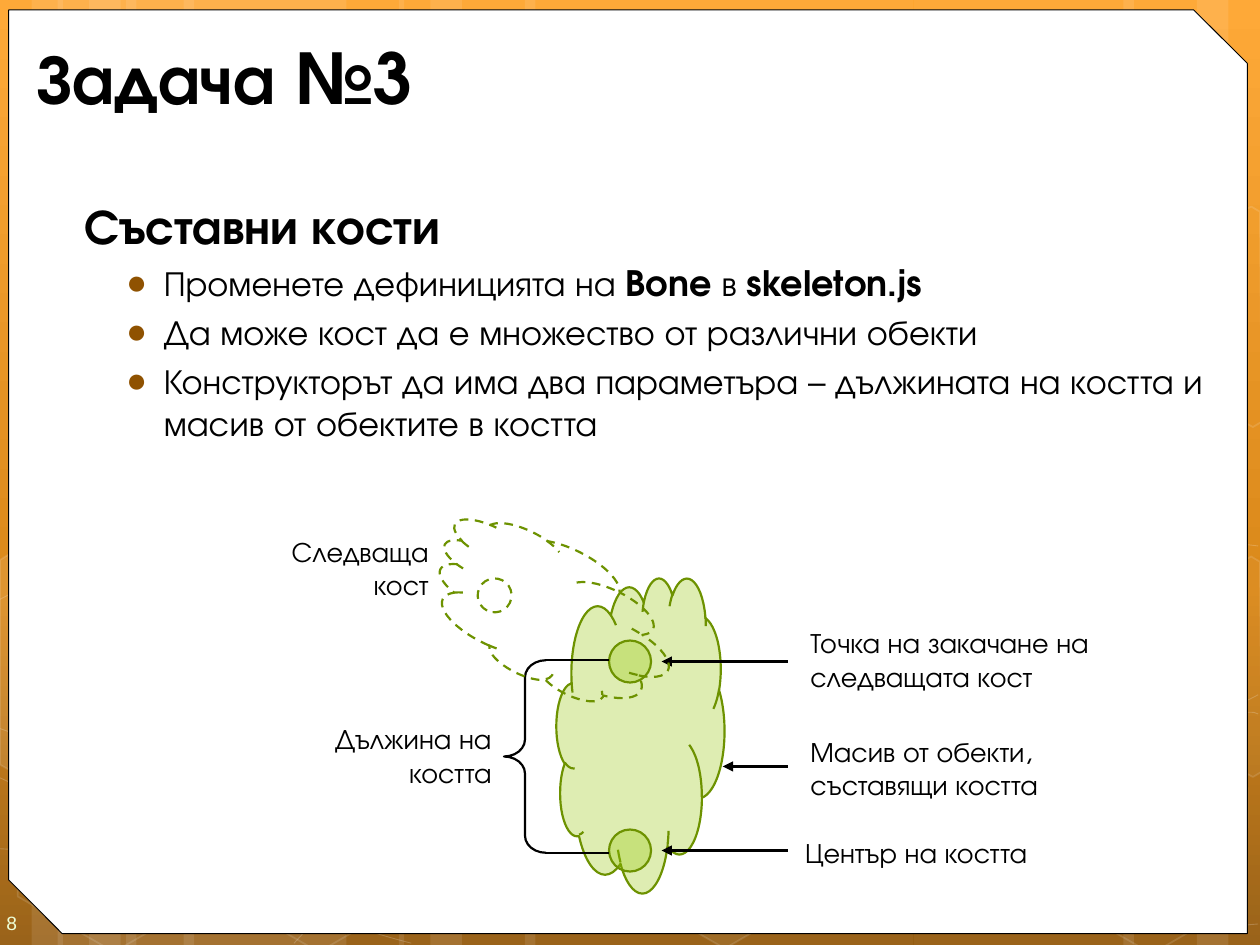
from copy import deepcopy
from pptx import Presentation
from pptx.dml.color import RGBColor
from pptx.enum.dml import MSO_LINE
from pptx.enum.shapes import MSO_CONNECTOR, MSO_SHAPE
from pptx.enum.text import MSO_ANCHOR, MSO_AUTO_SIZE, PP_ALIGN
from pptx.oxml.ns import qn
from pptx.oxml.xmlchemy import OxmlElement
from pptx.util import Pt

FACE = "TeX Gyre Adventor"
WHITE, BLACK, BROWN = "FFFFFF", "000000", "8F5201"
LIME, GREEN = "94C600", "6D9200"


def hue(code):
    return RGBColor.from_string(code)


def apply(item, form):
    for name, value in form.items():
        setattr(item, name, value)


def place(shape, x, y, w, h):
    apply(shape, dict(left=Pt(x), top=Pt(y), width=Pt(w), height=Pt(h)))


def node(parent, tag, **attrs):
    child = OxmlElement(tag)
    for name, value in attrs.items():
        child.set(name, str(value))
    parent.append(child)
    return child


def ink(fill, code, alpha=100):
    fill.solid()
    fill.fore_color.rgb = hue(code)
    if alpha < 100:
        color = fill._xPr.find(qn("a:solidFill"))[0]
        node(color, "a:alpha", val=alpha * 1000)


def style(shape, fill=None, line=None, width=1.25, dash=None):
    """Fill and line are (hex, alpha) pairs, or None for none."""
    shape.shadow.inherit = False
    for part, paint in ((shape.fill, fill), (shape.line.fill, line)):
        if paint:
            ink(part, *paint)
        else:
            part.background()
    if line:
        shape.line.width = Pt(width)
        shape.line.dash_style = dash


def draw(slide, kind, x, y, w, h, turn=0, **look):
    shape = slide.shapes.add_shape(kind, Pt(x), Pt(y), Pt(w), Pt(h))
    shape.rotation = turn
    style(shape, **look)
    return shape


def trace(slide, points, close, **look):
    spots = [(Pt(x), Pt(y)) for x, y in points]
    pen = slide.shapes.build_freeform(*spots[0], scale=1.0)
    pen.add_line_segments(spots[1:], close=close)
    shape = pen.convert_to_shape()
    style(shape, **look)
    return shape


def bend(shape):
    """Turn each run of three line points into one Bezier curve."""
    lines = list(shape._element.iter(qn("a:lnTo")))
    for first in range(0, len(lines), 3):
        curve = OxmlElement("a:cubicBezTo")
        lines[first].addprevious(curve)
        for line in lines[first:first + 3]:
            curve.append(line[0])
            line.getparent().remove(line)


def link(slide, start, end, arrow=False):
    line = slide.shapes.add_connector(
        MSO_CONNECTOR.STRAIGHT, *(Pt(v) for v in start + end))
    line.line.width = Pt(1.25)
    ink(line.line.fill, BLACK)
    if arrow:
        node(line.line._get_or_add_ln(), "a:tailEnd", type="triangle")
    node(line._element.spPr, "a:effectLst")


def write(para, text, size, code=BLACK, bold=False, face=FACE):
    run = para.add_run()
    run.text = text
    apply(run.font, dict(name=face, size=Pt(size), bold=bold))
    run.font.color.rgb = hue(code)


def label(slide, text, x, y, w, h, align=PP_ALIGN.LEFT):
    frame = slide.shapes.add_textbox(Pt(x), Pt(y), Pt(w), Pt(h)).text_frame
    apply(frame, dict(word_wrap=True, auto_size=MSO_AUTO_SIZE.SHAPE_TO_FIT_TEXT))
    for i, row in enumerate(text.split("\n")):
        para = frame.add_paragraph() if i else frame.paragraphs[0]
        para.alignment = align
        write(para, row, 16)


def backdrop(slide, x, y, w, h):
    # Gradient
    fill = slide.background.fill
    fill.gradient()
    fill.gradient_angle = 270
    stops = fill.gradient_stops[0]._gs.getparent()
    stops.insert(1, deepcopy(stops[0]))
    for stop, code, spot in zip(fill.gradient_stops,
                                ("FEA022", "D77C01", BROWN), (0, .62, 1)):
        stop.color.rgb = hue(code)
        stop.position = spot
    # Pale bars
    bars = [(72, 126), (0, 36), (18, 60), (105, 126), (33, 36), (51, 60),
            (522, 126), (684, 36), (642, 60), (300, 222), (228, 36), (246, 60)]
    for left, wide in bars:
        draw(slide, MSO_SHAPE.RECTANGLE, x + left, y, wide, h, fill=(WHITE, 10))
    # Thin waves
    waves = [
        [(-1, 485), (38, 487), (77, 489), (131, 488), (185, 487), (251, 486),
         (324, 479), (396, 472), (498, 458), (564, 444), (630, 431),
         (698, 409), (719, 397)],
        [(-1, 343), (20, 332), (40, 321), (81, 310), (122, 300), (180, 284),
         (244, 279), (308, 274), (386, 273), (465, 279), (544, 284),
         (676, 307), (719, 312)],
        [(-1, 444), (85, 484), (172, 523), (235, 539)],
        [(-1, 416), (22, 424), (44, 432), (86, 444), (128, 454), (191, 472),
         (251, 485), (311, 497), (387, 510), (446, 517), (505, 525),
         (570, 528), (608, 530), (646, 533), (656, 531), (675, 531),
         (693, 531), (706, 529), (719, 528)],
        [(168, 539), (181, 525), (194, 510), (212, 498), (229, 485),
         (253, 470), (273, 460), (293, 450), (305, 446), (332, 438),
         (359, 431), (407, 421), (432, 416), (457, 411), (462, 411),
         (484, 410), (506, 408), (541, 405), (566, 405), (590, 404),
         (632, 405), (632, 405), (648, 405), (664, 405), (680, 405),
         (693, 405), (706, 406), (711, 407), (718, 407), (716, 407),
         (719, 408)],
    ]
    for wave in waves:
        bend(trace(slide, [(x + a, y + b) for a, b in wave], False,
                   line=(WHITE, 20), width=.5))
    # Hexagons along the rim
    for left, top, alpha in ((351, 424, 6), (2, 426, 0), (119, 426, 0),
                             (595, 427, 0)):
        cell = draw(slide, MSO_SHAPE.HEXAGON, x + left, y + top, 126, 109.5, 30,
                    fill=(WHITE, alpha) if alpha else None,
                    line=(WHITE, 12), width=1)
        cell.adjustments[0] = .285
    left = [(0, 320), (8, 315), (63, 347), (63, 410), (9, 442), (0, 437)]
    right = [(661, 349), (715, 318), (720, 321), (721, 441), (716, 444),
             (660, 413)]
    for points, rise, alpha in ((left, 0, 10), (right, 0, 4), (right, 200, 0)):
        trace(slide, [(x + a, y + b - rise) for a, b in points], True,
              fill=(WHITE, alpha) if alpha else None,
              line=(WHITE, 12), width=1)
    # White panel
    panel = draw(slide, MSO_SHAPE.SNIP_2_DIAG_RECTANGLE, x + 5, y + 5.7, w - 12.2,
                 h - 12.2, fill=(WHITE,), line=(BLACK,), width=.5)
    panel.adjustments[0], panel.adjustments[1] = 0, .058


def number(slide, x, y, w, h):
    frame = slide.shapes.add_textbox(Pt(x), Pt(y), Pt(w), Pt(h)).text_frame
    apply(frame, dict(word_wrap=True, vertical_anchor=MSO_ANCHOR.MIDDLE,
                      margin_left=Pt(3.6), margin_top=Pt(10.8),
                      margin_right=0, margin_bottom=Pt(7.2)))
    write(frame.paragraphs[0], "8", 11, "EEFFD6", face="Arial")


def heading(slide, *box):
    title = slide.shapes.title
    place(title, *box)
    frame = title.text_frame
    apply(frame, dict(vertical_anchor=MSO_ANCHOR.MIDDLE, word_wrap=True,
                      auto_size=MSO_AUTO_SIZE.NONE))
    frame.paragraphs[0].alignment = PP_ALIGN.LEFT
    write(frame.paragraphs[0], "Задача №3", 40, bold=True)


def tasks(slide, *box):
    body = slide.placeholders[1]
    place(body, *box)
    frame = body.text_frame
    apply(frame, dict(word_wrap=True, auto_size=MSO_AUTO_SIZE.NONE))
    # Topic
    topic = frame.paragraphs[0]
    props = topic._p.get_or_add_pPr()
    apply(topic, dict(space_before=Pt(0)))
    props.set("marL", str(Pt(5)))
    props.set("indent", "0")
    node(props, "a:buNone")
    write(topic, "Съставни кости", 28, bold=True)
    # Bullets; every second piece is bold
    rows = [("Променете дефиницията на ", "Bone ", "в ", "skeleton.js"),
            ("Да може кост да е множество от различни обекти",),
            ("Конструкторът да има два параметъра – дължината на костта и "
             "масив от обектите в костта",)]
    for row in rows:
        para = frame.add_paragraph()
        props = para._p.get_or_add_pPr()
        props.set("marL", str(Pt(50.4)))
        props.set("indent", str(-Pt(21.6)))
        node(node(props, "a:buClr"), "a:srgbClr", val=BROWN)
        node(props, "a:buChar", char="●")
        apply(para, dict(level=1, space_before=Pt(4)))
        for i, piece in enumerate(row):
            write(para, piece, 20, bold=i % 2 == 1)


def diagram(slide, x, y):
    # Bone and its two joints
    solid = dict(fill=(LIME, 30), line=(GREEN,))
    draw(slide, MSO_SHAPE.CLOUD, x + 176, y + 60, 96, 180, **solid)
    for top in (204, 96):
        draw(slide, MSO_SHAPE.OVAL, x + 206, y + top, 24, 24, **solid)
    # Labels
    right = PP_ALIGN.RIGHT
    for text, left, top, w, h, align in (
            ("Център на костта", 311, 204, 166, 27, None),
            ("Точка на закачане на следващата кост", 314, 84, 192, 46, None),
            ("Масив от обекти, съставящи костта", 314, 146, 166, 46, None),
            ("Дължина на костта", 38, 139, 108, 46, right),
            ("Следваща\nкост", .5, 31.7, 109.5, 46, right)):
        label(slide, text, x + left, y + top, w, h, align)
    # Arrows
    for tip, level in ((236, 108), (236, 216), (271, 168)):
        link(slide, (x + 308, y + level), (x + tip, y + level), True)
    # Length brace
    brace = draw(slide, MSO_SHAPE.LEFT_BRACE, x + 146, y + 107.3, 24, 110,
                 line=(BLACK,))
    brace.adjustments[0] = .406
    for level in (107.3, 217.3):
        link(slide, (x + 170, y + level), (x + 206, y + level))
    # Next bone
    dashed = dict(turn=296.4, line=(GREEN,), dash=MSO_LINE.DASH)
    draw(slide, MSO_SHAPE.CLOUD, x + 134.5, y + 8, 77.8, 146.2, **dashed)
    draw(slide, MSO_SHAPE.OVAL, x + 131, y + 60.5, 19.4, 19.4, **dashed)


def main():
    deck = Presentation()
    apply(deck, dict(slide_width=Pt(720), slide_height=Pt(540)))
    slide = deck.slides.add_slide(deck.slide_layouts[1])
    backdrop(slide, 0, 0, 720, 540)
    number(slide, 0, 511, 42, 29)
    # Bring the placeholders in front of the backdrop
    for holder in list(slide.placeholders):
        slide.shapes._spTree.append(holder._element)
    heading(slide, 13.7, 18, 682, 51)
    tasks(slide, 36, 108, 678, 426)
    diagram(slide, 142, 270)
    deck.save("out.pptx")


if __name__ == "__main__":
    main()
